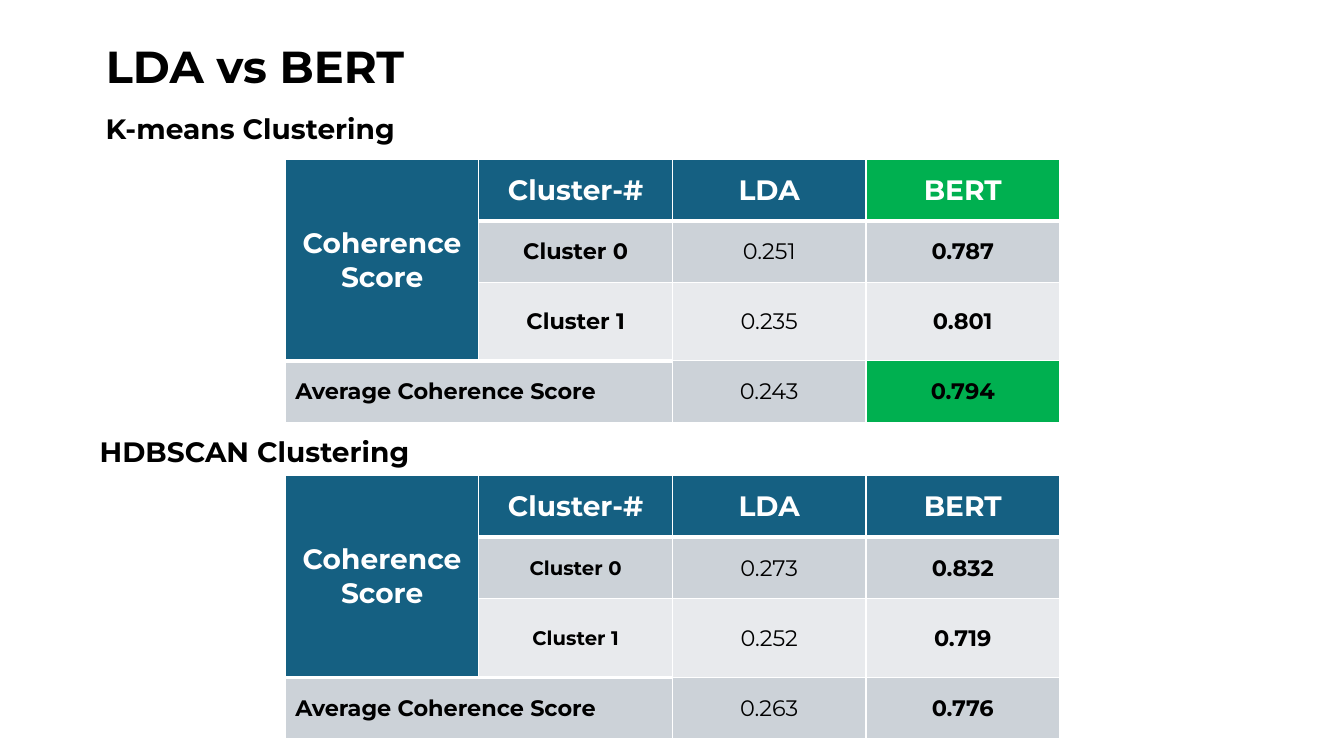
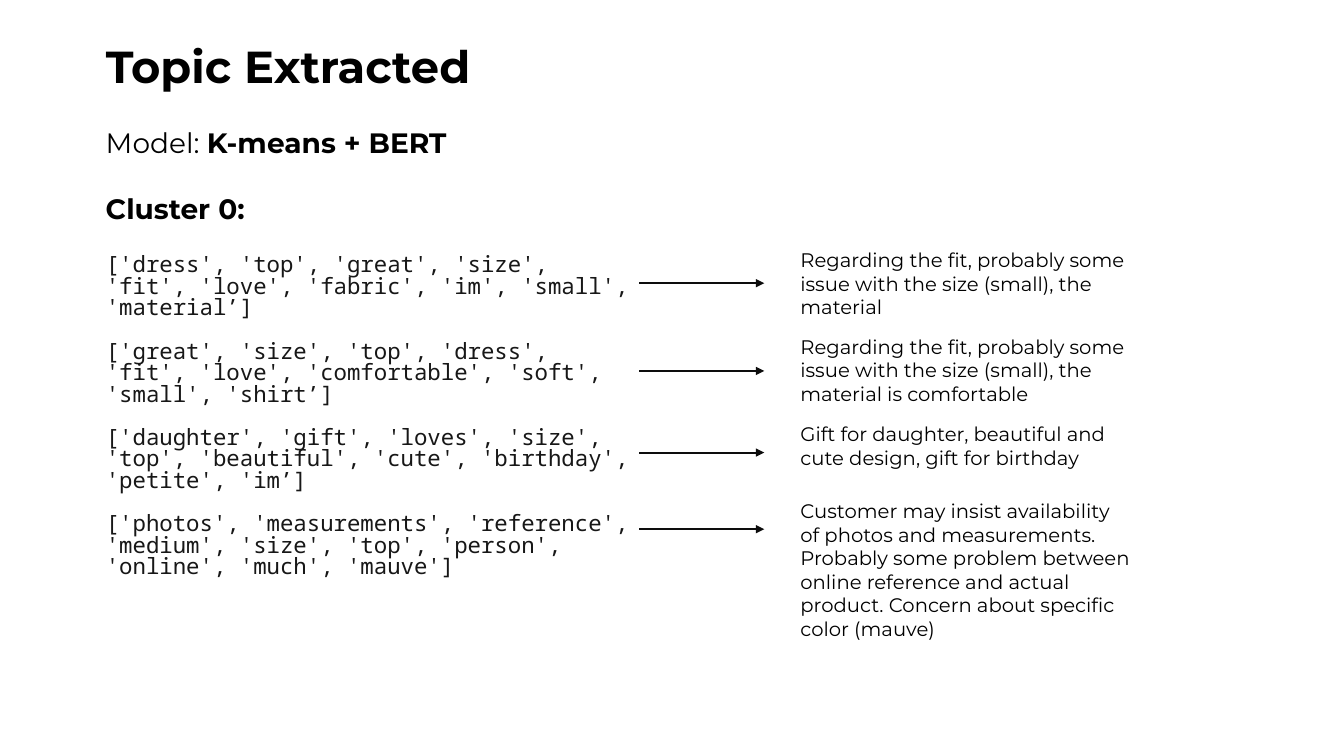
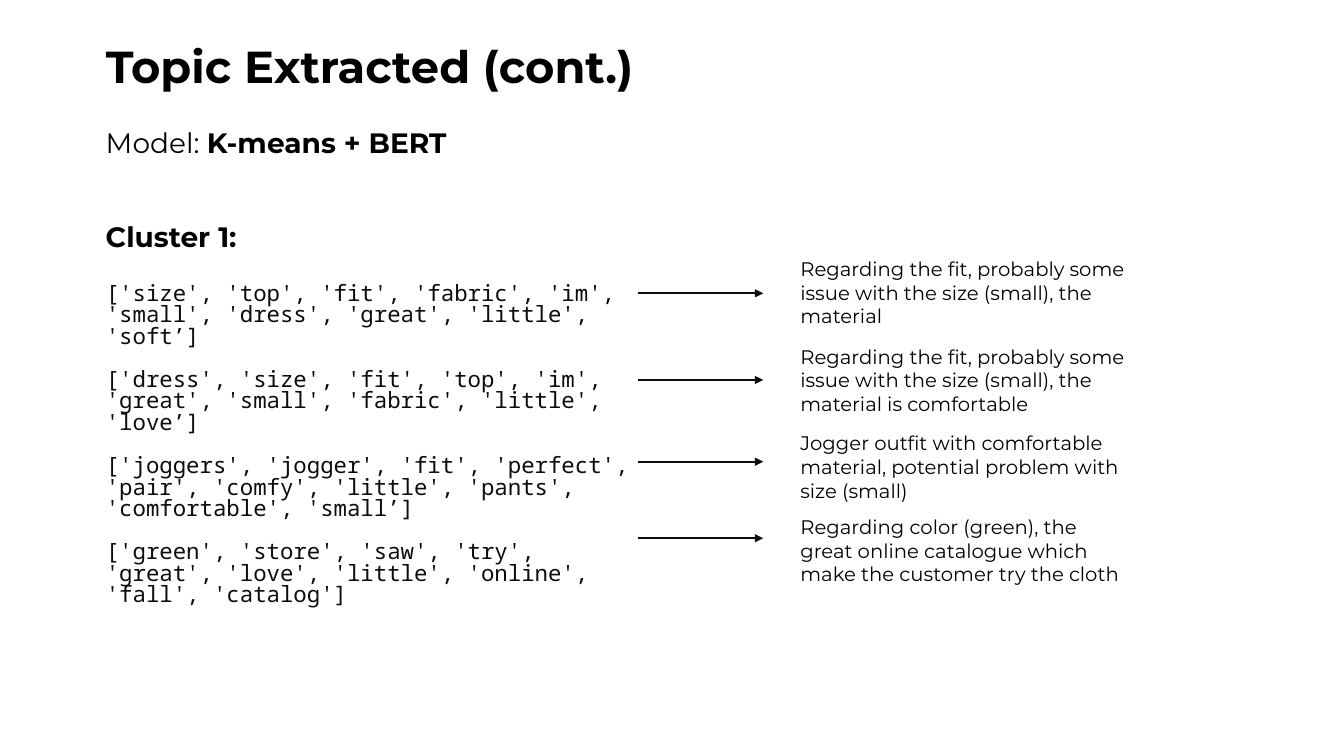
from lxml import etree
from pptx import Presentation
from pptx.dml.color import RGBColor
from pptx.enum.shapes import MSO_CONNECTOR
from pptx.enum.text import MSO_ANCHOR, MSO_AUTO_SIZE, PP_ALIGN
from pptx.oxml.ns import qn
from pptx.util import Pt

PX = 9144  # EMU per px, 100 px to the inch
SLIDE_WIDTH, SLIDE_HEIGHT = 1333, 750
MIDDLE, TOP = MSO_ANCHOR.MIDDLE, MSO_ANCHOR.TOP
LEFT, CENTER = PP_ALIGN.LEFT, PP_ALIGN.CENTER
NO_FIT, GROW = MSO_AUTO_SIZE.NONE, MSO_AUTO_SIZE.SHAPE_TO_FIT_TEXT
STRAIGHT = MSO_CONNECTOR.STRAIGHT

COLORS = {
    "black": "000000", "ink": "0D0D0D", "charcoal": "171717", "white": "FFFFFF",
    "blue": "156082", "green": "00B050", "gray": "CCD2D8", "light": "E8EAED",
}
SANS, MONO = "Montserrat", "Noto Sans Mono"
TITLE = {"name": SANS, "size": 32, "bold": True, "color": "black"}
HEADING = {"name": SANS, "size": 20, "bold": True, "color": "black"}
PLAIN_HEADING = HEADING | {"bold": False}
NOTE = {"name": SANS, "size": 14, "bold": False, "color": "black"}
WORDS = {"name": MONO, "size": 16, "bold": False}
TABLE_HEAD = HEADING | {"color": "white"}
TABLE_TEXT = HEADING | {"size": 16}

MARGIN, HEADING_WIDTH, HEADING_HEIGHT = 95, 389, 68
TITLE_TOP = 34
TABLE_LEFT, COLUMN_WIDTH, ROW_HEIGHT = 283, 192, 61
ARROW_LENGTH = 124
NOTE_LEFT, NOTE_WIDTH = 784, 347

COMPARISON_TITLE = "LDA vs BERT"
COMPARISONS = [
    {
        "heading": "K-means Clustering", "heading_at": (95, 95), "table_top": 158,
        "label_size": 16, "highlights": [(0, 3), (3, 3)],
        "scores": [("0.251", "0.787"), ("0.235", "0.801"), ("0.243", "0.794")],
    },
    {
        "heading": "HDBSCAN Clustering", "heading_at": (89, 416), "table_top": 472,
        "label_size": 14, "highlights": [],
        "scores": [("0.273", "0.832"), ("0.252", "0.719"), ("0.263", "0.776")],
    },
]
TABLE_HEADINGS = ["Coherence Score", "Cluster-#", "LDA", "BERT"]
ROW_LABELS = [("", "Cluster 0"), ("", "Cluster 1"), ("Average Coherence Score", "")]
ROW_FILLS = ["blue", "gray", "light", "gray"]

MODEL = [("Model: ", PLAIN_HEADING), ("K-means + BERT", HEADING)]
# Each topic: words, note, arrow y, note top, note height
TOPIC_SLIDES = [
    {
        "title": "Topic Extracted", "title_width": 389, "cluster": "Cluster 0:",
        "cluster_top": 175, "words_color": "charcoal", "arrow_left": 634,
        "topics": [
            ("['dress', 'top', 'great', 'size', 'fit', 'love', 'fabric', 'im', 'small', 'material’]",
             "Regarding the fit, probably some issue with the size (small), the material",
             281, 241, 81),
            ("['great', 'size', 'top', 'dress', 'fit', 'love', 'comfortable', 'soft', 'small', 'shirt’]",
             "Regarding the fit, probably some issue with the size (small), the material is comfortable",
             368, 327, 81),
            ("['daughter', 'gift', 'loves', 'size', 'top', 'beautiful', 'cute', 'birthday', 'petite', 'im’]",
             "Gift for daughter, beautiful and cute design, gift for birthday",
             449, 414, 57),
            ("['photos', 'measurements', 'reference', 'medium', 'size', 'top', 'person', 'online', "
             "'much', 'mauve']",
             "Customer may insist availability of photos and measurements. Probably some problem "
             "between online reference and actual product. Concern about specific color (mauve)",
             525, 490, 151),
        ],
    },
    {
        "title": "Topic Extracted (cont.)", "title_width": 618, "cluster": "Cluster 1:",
        "cluster_top": 203, "words_color": "ink", "arrow_left": 633,
        "topics": [
            ("['size', 'top', 'fit', 'fabric', 'im', 'small', 'dress', 'great', 'little', 'soft’]",
             "Regarding the fit, probably some issue with the size (small), the material",
             291, 250, 81),
            ("['dress', 'size', 'fit', 'top', 'im', 'great', 'small', 'fabric', 'little', 'love’]",
             "Regarding the fit, probably some issue with the size (small), the material is comfortable",
             377, 337, 81),
            ("['joggers', 'jogger', 'fit', 'perfect', 'pair', 'comfy', 'little', 'pants', "
             "'comfortable', 'small’]",
             "Jogger outfit with comfortable material, potential problem with size (small)",
             458, 423, 81),
            ("['green', 'store', 'saw', 'try', 'great', 'love', 'little', 'online', 'fall', 'catalog']",
             "Regarding color (green), the great online catalogue which make the customer try the cloth",
             534, 506, 81),
        ],
    },
]


def rgb(color):
    return RGBColor.from_string(COLORS[color])


def add_run(paragraph, text, style):
    run = paragraph.add_run()
    run.text = text
    for name, value in style.items():
        if name == "color":
            run.font.color.rgb = rgb(value)
        else:
            setattr(run.font, name, Pt(value) if name == "size" else value)


def place(shape, left, top, width, height):
    box = {"left": left, "top": top, "width": width, "height": height}
    for name, value in box.items():
        setattr(shape, name, value * PX)


def fill_text(shape, paragraphs, anchor=MIDDLE, fit=NO_FIT, **paragraph_format):
    """Write paragraphs, each a list of (text, style) runs, into a shape."""
    frame = shape.text_frame
    settings = {"word_wrap": True, "auto_size": fit, "vertical_anchor": anchor}
    for name, value in settings.items():
        setattr(frame, name, value)
    for index, runs in enumerate(paragraphs):
        paragraph = frame.add_paragraph() if index else frame.paragraphs[0]
        for name, value in paragraph_format.items():
            setattr(paragraph, name, value)
        for text, style in runs:
            add_run(paragraph, text, style)


def add_text(slide, box, runs, **options):
    shape = slide.shapes.add_textbox(*(length * PX for length in box))
    fill_text(shape, [runs], **options)


def add_heading(slide, left, top, runs):
    add_text(slide, (left, top, HEADING_WIDTH, HEADING_HEIGHT), runs, line_spacing=0.9)


def add_titled_slide(presentation, layout, title, width):
    slide = presentation.slides.add_slide(presentation.slide_layouts.get_by_name(layout))
    place(slide.shapes.title, MARGIN, TITLE_TOP, width, HEADING_HEIGHT)
    fill_text(slide.shapes.title, [[(title, TITLE)]], alignment=LEFT, line_spacing=0.9)
    return slide


def set_borders(cell, bottom):
    """Draw white borders of 1 pt, with a bottom one of the given width."""
    properties = cell._tc.get_or_add_tcPr()
    for side, width in {"lnL": 1, "lnR": 1, "lnT": 1, "lnB": bottom}.items():
        line = etree.SubElement(properties, qn(f"a:{side}"), w=str(Pt(width)))
        fill = etree.SubElement(line, qn("a:solidFill"))
        etree.SubElement(fill, qn("a:srgbClr"), val=COLORS["white"])


def cell_style(row, column, label_size):
    if row == 0:
        return TABLE_HEAD
    if column == 2:
        return TABLE_TEXT | {"bold": False}
    return TABLE_TEXT | {"size": label_size if column == 1 else 16}


def add_score_table(slide, comparison):
    rows = [TABLE_HEADINGS]
    rows += [labels + scores for labels, scores in zip(ROW_LABELS, comparison["scores"])]
    row_count, column_count = len(rows), len(TABLE_HEADINGS)
    table = slide.shapes.add_table(
        row_count, column_count, TABLE_LEFT * PX, comparison["table_top"] * PX,
        COLUMN_WIDTH * column_count * PX, ROW_HEIGHT * row_count * PX).table
    table.horz_banding = False
    for row, texts in enumerate(rows):
        for column, text in enumerate(texts):
            cell = table.cell(row, column)
            in_head = row == 0 or (column == 0 and row < row_count - 1)
            set_borders(cell, 3 if in_head else 1)
            fill = "blue" if in_head else ROW_FILLS[row]
            if (row, column) in comparison["highlights"]:
                fill = "green"
            cell.fill.solid()
            cell.fill.fore_color.rgb = rgb(fill)
            cell.vertical_anchor = MIDDLE
            if text:
                paragraph = cell.text_frame.paragraphs[0]
                paragraph.alignment = CENTER if in_head or column else LEFT
                add_run(paragraph, text, cell_style(row, column, comparison["label_size"]))
    table.cell(0, 0).merge(table.cell(row_count - 2, 0))
    table.cell(row_count - 1, 0).merge(table.cell(row_count - 1, 1))


def add_arrow(slide, left, y):
    arrow = slide.shapes.add_connector(
        STRAIGHT, left * PX, y * PX, (left + ARROW_LENGTH) * PX, y * PX)
    arrow.line.color.rgb = rgb("ink")
    arrow.line.width = Pt(1.5)
    etree.SubElement(arrow.line._get_or_add_ln(), qn("a:tailEnd"), type="triangle")
    etree.SubElement(arrow._element.spPr, qn("a:effectLst"))


def add_word_lists(slide, top, word_lists, color):
    body = slide.placeholders[1]
    place(body, MARGIN, top, 544, 354)
    style = WORDS | {"color": color}
    fill_text(body, [[(words, style)] for words in word_lists],
              line_spacing=0.8, space_before=Pt(0), alignment=LEFT)
    for index, paragraph in enumerate(body.text_frame.paragraphs):
        if index:
            paragraph.space_before = Pt(15.5)
        properties = paragraph._p.get_or_add_pPr()
        properties.set("marL", "0")
        properties.set("indent", "0")
        etree.SubElement(properties, qn("a:buNone"))


def build_comparison_slide(presentation):
    slide = add_titled_slide(presentation, "Title Only", COMPARISON_TITLE, HEADING_WIDTH)
    for comparison in COMPARISONS:
        add_score_table(slide, comparison)
        add_heading(slide, *comparison["heading_at"], [(comparison["heading"], HEADING)])


def build_topic_slide(presentation, content):
    slide = add_titled_slide(
        presentation, "Title and Content", content["title"], content["title_width"])
    add_heading(slide, MARGIN, 109, MODEL)
    add_heading(slide, MARGIN, content["cluster_top"], [(content["cluster"], HEADING)])
    add_word_lists(slide, content["cluster_top"] + 62,
                   [topic[0] for topic in content["topics"]], content["words_color"])
    for _, note, arrow_y, note_top, note_height in content["topics"]:
        add_arrow(slide, content["arrow_left"], arrow_y)
        add_text(slide, (NOTE_LEFT, note_top, NOTE_WIDTH, note_height), [(note, NOTE)],
                 anchor=TOP, fit=GROW)


def main():
    presentation = Presentation()
    presentation.slide_width = SLIDE_WIDTH * PX
    presentation.slide_height = SLIDE_HEIGHT * PX
    build_comparison_slide(presentation)
    for content in TOPIC_SLIDES:
        build_topic_slide(presentation, content)
    presentation.save("out.pptx")


if __name__ == "__main__":
    main()
